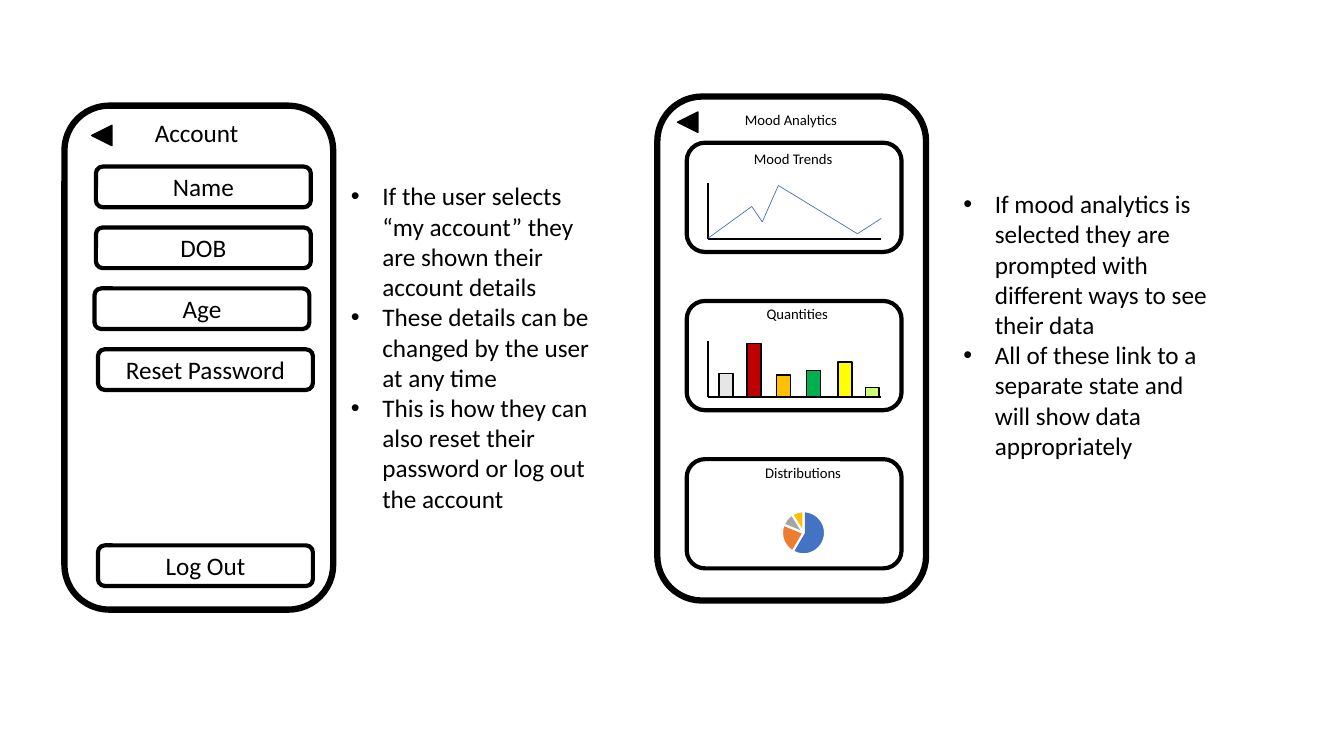
from typing import NamedTuple

from lxml.etree import SubElement
from pptx import Presentation
from pptx.chart.data import CategoryChartData
from pptx.dml.color import RGBColor
from pptx.enum.chart import XL_CHART_TYPE as CHART
from pptx.enum.shapes import MSO_CONNECTOR as CONN, MSO_SHAPE as SHAPE
from pptx.enum.text import MSO_ANCHOR as ANCHOR, MSO_AUTO_SIZE as AUTO, PP_ALIGN as ALIGN
from pptx.oxml import parse_xml
from pptx.oxml.ns import nsdecls, qn
from pptx.util import Pt

FONT = "Calibri"
COLORS = {
    "black": "000000", "white": "FFFFFF", "blue": "4472C4", "orange": "ED7D31",
    "grey": "A5A5A5", "gold": "FFC000", "pale": "E7E6E6", "red": "C00000",
    "green": "00B050", "yellow": "FFFF00", "lime": "CEFF75",
}
PHONE_W, PHONE_H = 192, 360
BOX_W, BUTTON_H, CARD_H = 153.5, 29, 78
BUTTON_TOP, BUTTON_STEP = 119, 43.5
CARD_X, CARD_TOP, CARD_STEP = 490.5, 102, 113
AXIS_LEFT, AXIS_RIGHT, AXIS_TOP, AXIS_BASE = 506, 629.5, 28.5, 68.5
BAR_W, ARROW = 10, 14.5


class Button(NamedTuple):
    text: str
    x: float
    row: float


class Card(NamedTuple):
    title: str
    title_x: float
    title_y: float
    title_w: float


class Bar(NamedTuple):
    x: float
    height: float
    color: str


class Notes(NamedTuple):
    x: float
    y: float
    height: float
    items: list[str]


BUTTONS = [
    Button("Name", 68.5, 0), Button("DOB", 68.5, 1), Button("Age", 67.5, 2),
    Button("Reset Password", 70, 3), Button("Log Out", 70, 6.22),
]
CARDS = [
    Card("Mood Trends", 531.5, 103.5, 72),
    Card("Quantities", 540.5, 214.5, 59),
    Card("Distributions", 539.5, 327.5, 70),
]
TREND = [(506, 170), (537, 147.5), (544.5, 158.5), (556, 132.5), (612.5, 167), (629.5, 156)]
BARS = [
    Bar(513.5, 16.5, "pale"), Bar(533.5, 38, "red"), Bar(554.5, 15.5, "gold"),
    Bar(576, 19, "green"), Bar(598.5, 25, "yellow"), Bar(618, 6.5, "lime"),
]
SLICES = {"blue": 59, "orange": 23, "grey": 10, "gold": 9}
NOTES = [
    Notes(243.5, 125.5, 247, [
        "If the user selects “my account” they are shown their account details",
        "These details can be changed by the user at any time",
        "This is how they can also reset their password or log out the account",
    ]),
    Notes(681, 131, 204, [
        "If mood analytics is selected they are prompted with different ways to see their data",
        "All of these link to a separate state and will show data appropriately",
    ]),
]


def rgb(name: str) -> RGBColor:
    return RGBColor.from_string(COLORS[name])


def write(p, text: str, *, size: float = 18, align=ALIGN.LEFT, bullet: bool = False) -> None:
    p.alignment = align
    r = p.add_run()
    r.text = text
    r.font.size, r.font.name = Pt(size), FONT
    r.font.color.rgb = rgb("black")
    if bullet:
        pPr = p._p.get_or_add_pPr()
        pPr.set("marL", str(Pt(22.5)))
        pPr.set("indent", str(-Pt(22.5)))
        SubElement(pPr, qn("a:buFont"), typeface="Arial")
        SubElement(pPr, qn("a:buChar"), char="•")


def add_box(shapes, kind, x: float, y: float, w: float, h: float, *,
            fill: str = "white", weight: float = 3, text: str = ""):
    sp = shapes.add_shape(kind, Pt(x), Pt(y), Pt(w), Pt(h))
    sp.shadow.inherit = False
    sp.fill.solid()
    sp.fill.fore_color.rgb = rgb(fill)
    sp.line.color.rgb, sp.line.width = rgb("black"), Pt(weight)
    if text:
        sp.text_frame.vertical_anchor = ANCHOR.MIDDLE
        write(sp.text_frame.paragraphs[0], text, align=ALIGN.CENTER)
    return sp


def add_text(shapes, x: float, y: float, w: float, h: float, lines: list[str], *,
             size: float = 18, wrap: bool = True, bullet: bool = False) -> None:
    tf = shapes.add_textbox(Pt(x), Pt(y), Pt(w), Pt(h)).text_frame
    tf.word_wrap, tf.auto_size = wrap, AUTO.SHAPE_TO_FIT_TEXT
    for i, line in enumerate(lines):
        p = tf.add_paragraph() if i else tf.paragraphs[0]
        write(p, line, size=size, bullet=bullet)


def add_line(shapes, start: tuple, end: tuple, *, color: str = "black", weight: float = 1.5) -> None:
    cn = shapes.add_connector(CONN.STRAIGHT, *map(Pt, start + end))
    cn.line.color.rgb, cn.line.width = rgb(color), Pt(weight)
    SubElement(cn._element.spPr, qn("a:effectLst"))


def add_axes(shapes, card_y: float) -> None:
    base = card_y + AXIS_BASE
    add_line(shapes, (AXIS_LEFT, card_y + AXIS_TOP), (AXIS_LEFT, base))
    add_line(shapes, (AXIS_LEFT - 0.5, base), (AXIS_RIGHT, base))


def add_phone(shapes, x: float, y: float):
    group = shapes.add_group_shape().shapes
    add_box(group, SHAPE.ROUNDED_RECTANGLE, x, y, PHONE_W, PHONE_H, weight=4.5)
    return group


def add_back_arrow(shapes, x: float, y: float) -> None:
    sp = add_box(shapes, SHAPE.ISOSCELES_TRIANGLE, x, y, ARROW, ARROW, fill="black", weight=1)
    sp.rotation = 270


def add_pie(shapes, x: float, y: float, w: float, h: float) -> None:
    data = CategoryChartData()
    data.categories = [str(i + 1) for i in range(len(SLICES))]
    data.add_series("Share", SLICES.values())
    chart = shapes.add_chart(CHART.PIE, Pt(x), Pt(y), Pt(w), Pt(h), data).chart
    chart.has_title = chart.has_legend = False
    chart.font.size, chart.font.name = Pt(10), FONT
    chart.font.color.rgb = rgb("black")
    for i, color in enumerate(SLICES):
        fmt = chart.plots[0].series[0].points[i].format
        fmt.fill.solid()
        fmt.fill.fore_color.rgb = rgb(color)
        fmt.line.color.rgb, fmt.line.width = rgb("white"), Pt(1.5)
    # Fixed place of the pie inside its frame
    area = chart._chartSpace.chart.plotArea
    for old in area.findall(qn("c:layout")):
        area.remove(old)
    area.insert(0, parse_xml(
        f'<c:layout {nsdecls("c")}><c:manualLayout><c:layoutTarget val="inner"/>'
        '<c:xMode val="edge"/><c:yMode val="edge"/><c:x val="0.41"/><c:y val="0.55"/>'
        '<c:w val="0.18"/><c:h val="0.34"/></c:manualLayout></c:layout>'))


prs = Presentation()
prs.slide_width, prs.slide_height = Pt(960), Pt(540)
slide = prs.slides.add_slide(prs.slide_layouts[6])

# Account screen
account = add_phone(slide.shapes, 46, 75.5)
add_text(account, 103.5, 80.5, 86.5, 29, ["Account"])
for button in BUTTONS:
    add_box(account, SHAPE.ROUNDED_RECTANGLE, button.x, BUTTON_TOP + button.row * BUTTON_STEP,
            BOX_W, BUTTON_H, text=button.text)
add_back_arrow(account, 65.5, 89.5)

# Mood analytics screen
mood = add_phone(slide.shapes, 469.5, 69)
add_text(mood, 525, 75.5, 81.5, 20, ["Mood Analytics"], size=10.5, wrap=False)
card_tops = [CARD_TOP + i * CARD_STEP for i in range(len(CARDS))]
for card, top in zip(CARDS, card_tops):
    add_box(mood, SHAPE.ROUNDED_RECTANGLE, CARD_X, top, BOX_W, CARD_H)
    add_text(mood, card.title_x, card.title_y, card.title_w, 20, [card.title], size=10.5, wrap=False)
add_back_arrow(mood, 484, 80)

# Contents of the cards
for top in card_tops[:2]:
    add_axes(mood, top)
for start, end in zip(TREND, TREND[1:]):
    add_line(mood, start, end, color="blue", weight=0.5)
for bar in BARS:
    add_box(mood, SHAPE.RECTANGLE, bar.x, card_tops[1] + AXIS_BASE - bar.height,
            BAR_W, bar.height, fill=bar.color, weight=1)
add_pie(mood, 488, 315.5, 172, 90.5)

# Explanations
for notes in NOTES:
    add_text(slide.shapes, notes.x, notes.y, PHONE_W, notes.height, notes.items, bullet=True)

prs.save("out.pptx")
